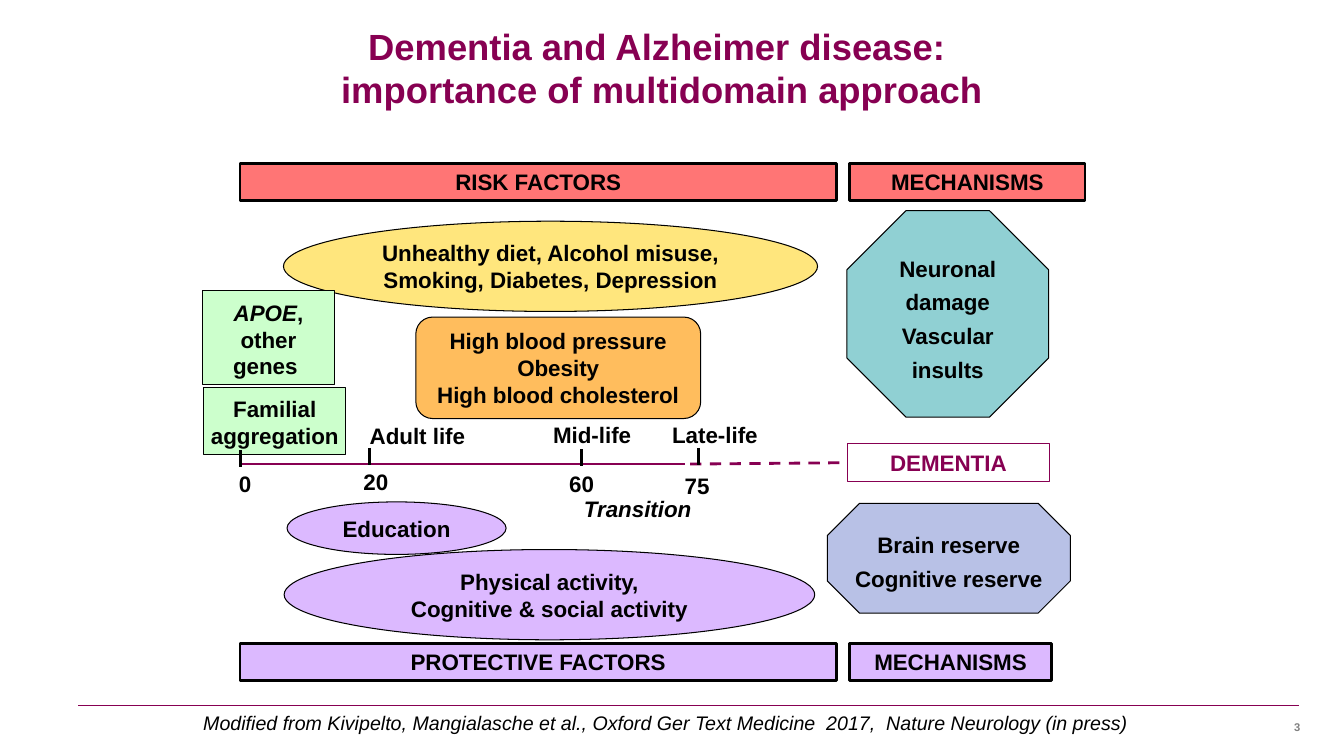
from lxml import etree
from pptx import Presentation
from pptx.dml.color import RGBColor
from pptx.enum.dml import MSO_LINE
from pptx.enum.shapes import MSO_CONNECTOR, MSO_SHAPE
from pptx.enum.text import MSO_ANCHOR, PP_ALIGN
from pptx.oxml.ns import qn
from pptx.util import Pt

RECTANGLE, ROUNDED = MSO_SHAPE.RECTANGLE, MSO_SHAPE.ROUNDED_RECTANGLE
ELLIPSE, OCTAGON = MSO_SHAPE.OVAL, MSO_SHAPE.OCTAGON
STRAIGHT, DASH = MSO_CONNECTOR.STRAIGHT, MSO_LINE.DASH
MIDDLE, TOP = MSO_ANCHOR.MIDDLE, MSO_ANCHOR.TOP
LEFT, CENTER, RIGHT = PP_ALIGN.LEFT, PP_ALIGN.CENTER, PP_ALIGN.RIGHT

BLACK = RGBColor(0, 0, 0)
GRAY = RGBColor(0x80, 0x80, 0x80)
PLUM = RGBColor(0x87, 0x00, 0x52)
RED = RGBColor(0xFF, 0x75, 0x75)
YELLOW = RGBColor(0xFF, 0xE6, 0x7D)
ORANGE = RGBColor(0xFF, 0xBD, 0x5D)
GREEN = RGBColor(0xCC, 0xFF, 0xCC)
LILAC = RGBColor(0xDC, 0xB9, 0xFF)
TEAL = RGBColor(0x90, 0xD0, 0xD3)
BLUE = RGBColor(0xB8, 0xC1, 0xE6)


def write(box, text, align=CENTER, size=16, color=BLACK, bold=True, italic=False):
    box.text_frame.text = text
    for para in box.text_frame.paragraphs:
        para.alignment = align
        for span in para.runs:
            font = span.font
            font.name, font.size, font.bold, font.italic = "Arial", Pt(size), bold, italic
            font.color.rgb = color


def draw_line(x1, y1, x2, y2, color, width):
    line = page.shapes.add_connector(STRAIGHT, Pt(x1), Pt(y1), Pt(x2), Pt(y2))
    line.line.color.rgb = color
    line.line.width = Pt(width)
    etree.SubElement(line._element.spPr, qn("a:effectLst"))
    return line


deck = Presentation()
deck.slide_width, deck.slide_height = Pt(960), Pt(540)
page = deck.slides.add_slide(deck.slide_layouts[5])

# Title and footer
title = page.shapes.title
title.left, title.top, title.width, title.height = Pt(128), Pt(11.5), Pt(690), Pt(73.5)
write(title, "Dementia and Alzheimer disease: \vimportance of multidomain approach",
      size=26, color=PLUM)
title.text_frame.vertical_anchor = MIDDLE
draw_line(56, 504, 928, 504, PLUM, 0.75)

# Factors and mechanisms: kind, left, top, width, height, fill, outline, text
factors = [
    (ELLIPSE, 202.5, 158, 381.5, 64.5, YELLOW, 0.75,
     "Unhealthy diet, Alcohol misuse,\nSmoking, Diabetes, Depression"),
    (RECTANGLE, 144.5, 207.5, 94.5, 67.5, GREEN, 0.75, "APOE\nother genes "),
    (ELLIPSE, 203, 392.5, 379, 64.5, LILAC, 0.75,
     "Physical activity,\nCognitive & social activity"),
    (ELLIPSE, 205, 358.5, 156.5, 37.5, LILAC, 0.75, "Education"),
    (ROUNDED, 297, 226.5, 203.5, 72.5, ORANGE, 0.75,
     "High blood pressure\nObesity\nHigh blood cholesterol"),
    (OCTAGON, 591, 359.5, 173.5, 78.5, BLUE, 0.75, "Brain reserve\nCognitive reserve"),
    (OCTAGON, 605, 150.5, 144, 147.5, TEAL, 0.75, "Neuronal damage\nVascular insults"),
    (RECTANGLE, 145.5, 276.5, 101.5, 48, GREEN, 0.75, "Familial aggregation "),
    (RECTANGLE, 171.5, 116.5, 426, 26.5, RED, 2, "RISK FACTORS"),
    (RECTANGLE, 607, 116.5, 168, 26.5, RED, 2, "MECHANISMS"),
    (RECTANGLE, 171.5, 459.5, 426, 26.5, LILAC, 2, "PROTECTIVE FACTORS"),
    (RECTANGLE, 607, 459.5, 144, 26.5, LILAC, 2, "MECHANISMS"),
    (RECTANGLE, 605.5, 317, 144, 27, None, 0.75, "DEMENTIA"),
]
for kind, left, top, width, height, fill, outline, text in factors:
    box = page.shapes.add_shape(kind, Pt(left), Pt(top), Pt(width), Pt(height))
    box.shadow.inherit = False
    color = BLACK if fill else PLUM
    if fill:
        box.fill.solid()
        box.fill.fore_color.rgb = fill
    else:
        box.fill.background()
    box.line.color.rgb = color
    box.line.width = Pt(outline)
    write(box, text, color=color)
    frame = box.text_frame
    frame.vertical_anchor = MIDDLE
    frame.word_wrap = fill != BLUE
    if kind == OCTAGON:
        box.adjustments[0] = 0.293
        for para in frame.paragraphs:
            para.line_spacing = Pt(24)
    if fill in (GREEN, TEAL):
        frame.margin_left = frame.margin_right = Pt(3 if fill == GREEN else 0)
        frame.margin_top = Pt(5.5)
    if text.startswith("APOE"):
        gene = frame.paragraphs[0]
        gene.runs[0].font.italic = True
        comma = gene.add_run()
        comma.text = ","
        comma.font.name, comma.font.size, comma.font.bold = "Arial", Pt(16), True
        comma.font.color.rgb = BLACK
dementia = box

# Life-course timeline
draw_line(171, 331.5, 489, 331.5, PLUM, 2)
late_line = draw_line(493, 331.5, 605.5, 331.5, PLUM, 2)
late_line.line.dash_style = DASH
late_line.end_connect(dementia, 1)
for x, top in ((171.5, 321.5), (264, 320), (415.5, 321), (499, 320)):
    draw_line(x, top, x, top + 12, BLACK, 2)

# Labels: text, left, top, width, height, format
labels = [
    ("0", 163.5, 332, 24, 26.5, {}),
    ("20", 252.5, 331, 32.5, 26.5, {}),
    ("60", 399.5, 332, 32.5, 26.5, {}),
    ("75", 482, 333.5, 32.5, 26.5, {}),
    ("Adult life", 257, 298, 83.5, 26.5, {}),
    ("Mid-life", 388, 297.5, 71.5, 26.5, {}),
    ("Late-life", 473, 297, 76.5, 26.5, {}),
    ("Transition", 410, 350, 92, 26.5, {"italic": True}),
    ("Modified from Kivipelto, Mangialasche et al., Oxford Ger Text Medicine  2017,  "
     "Nature Neurology (in press)", 110, 504, 731.5, 24.5,
     {"align": CENTER, "size": 14, "bold": False, "italic": True}),
    ("3", 864, 510, 72, 18, {"align": RIGHT, "size": 8, "color": GRAY}),
]
for text, left, top, width, height, style in labels:
    label = page.shapes.add_textbox(Pt(left), Pt(top), Pt(width), Pt(height))
    write(label, text, **{"align": LEFT, **style})
    label.text_frame.word_wrap = "align" in style
    label.text_frame.vertical_anchor = MIDDLE if text == "3" else TOP

deck.save("out.pptx")
